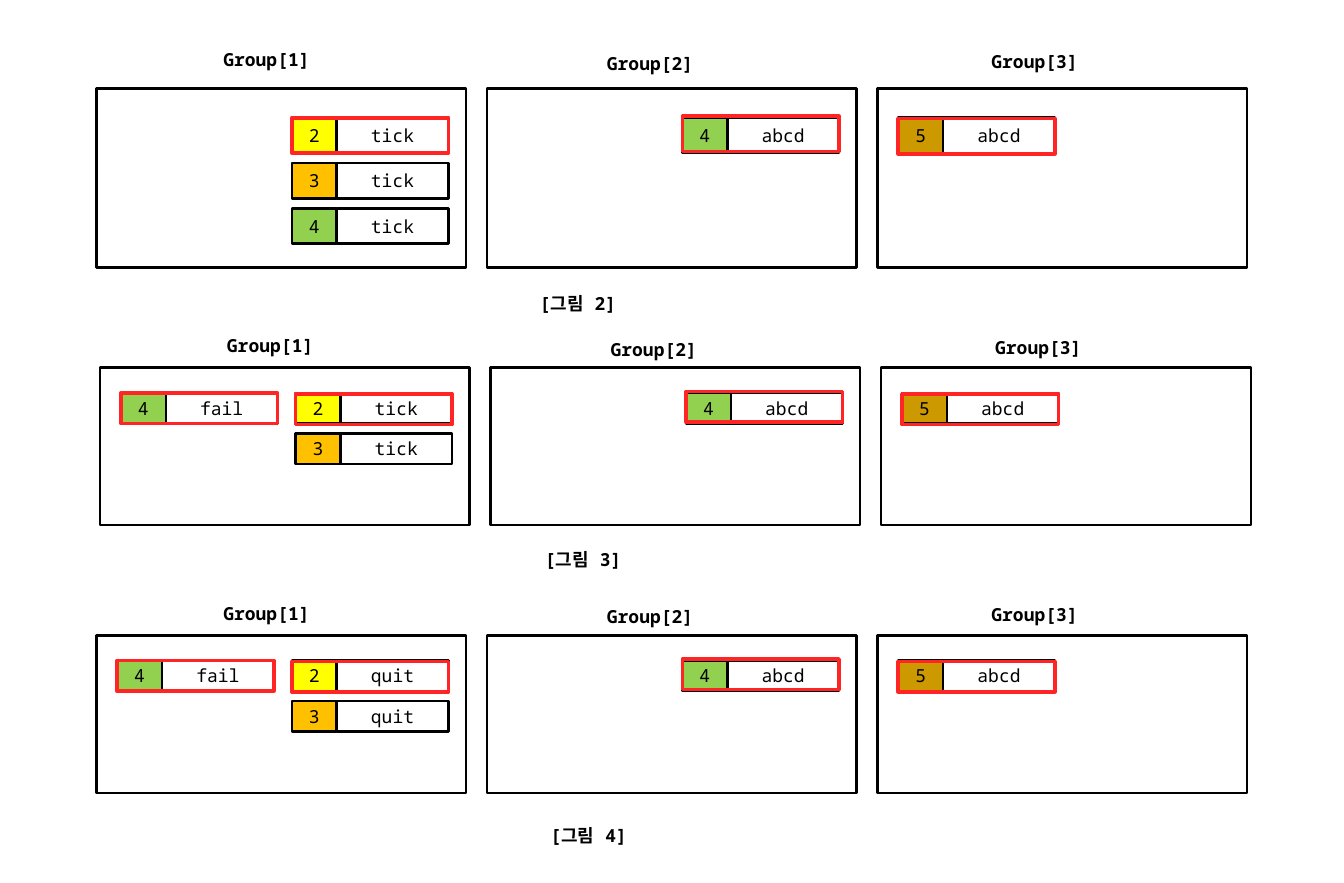
from dataclasses import dataclass

from lxml import etree
from pptx import Presentation
from pptx import util as u
from pptx.dml.color import RGBColor
from pptx.enum import shapes, text
from pptx.oxml import ns
from pptx.shapes.autoshape import Shape
from pptx.slide import Slide


@dataclass(frozen=True)
class Theme:
    font: str = "Noto Sans Mono"
    size: float = 11
    ink: str = "000000"
    paper: str = "FFFFFF"
    mark: str = "FF2525"
    thin: float = 1.5
    thick: float = 2.25
    spacing: float = 1.3


@dataclass(frozen=True)
class Entry:
    """A numbered word; marked entries get a red frame, moved by shift."""
    key: int
    word: str
    group: int
    left: float
    line: int = 0
    marked: bool = True
    shift: float = 0


@dataclass(frozen=True)
class Figure:
    """One row of three groups with its caption; lengths in cm."""
    caption: str
    caption_left: float
    caption_top: float
    left: float
    title_top: float
    panel_top: float
    panel_height: float
    entry_top: float
    entry_height: float
    entry_pitch: float
    entries: tuple[Entry, ...]


THEME = Theme()
KEY_FILLS = {2: "FFFF00", 3: "FFC000", 4: "92D050", 5: "CC9900"}

PANEL_WIDTH, PANEL_PITCH = 7.98, 8.43
KEY_WIDTH, WORD_WIDTH = 0.97, 2.41
TITLE_WIDTH, CAPTION_WIDTH, LABEL_HEIGHT = 2.85, 2.87, 0.81
TITLE_OFFSETS = ((2.49, 0), (2.34, 0.08), (2.21, 0.03))
NEAR, FAR = 0.45, 4.22  # entry columns inside a group

OTHER_GROUPS = (
    Entry(4, "abcd", 1, FAR, shift=-0.03),
    Entry(5, "abcd", 2, NEAR, shift=0.02),
)


def after_fail(word: str) -> tuple[Entry, ...]:
    return (
        Entry(4, "fail", 0, NEAR),
        Entry(2, word, 0, FAR, shift=0.02),
        Entry(3, word, 0, FAR, 1, marked=False),
        *OTHER_GROUPS,
    )


FIGURES = (
    Figure("[그림 2]", 11.4, 6.05, 2.08, 0.79, 1.91, 3.86, 2.54, 0.76, 0.98, (
        Entry(2, "tick", 0, FAR),
        Entry(3, "tick", 0, FAR, 1, marked=False),
        Entry(4, "tick", 0, FAR, 2, marked=False),
        *OTHER_GROUPS,
    )),
    Figure("[그림 3]", 11.51, 11.56, 2.16, 6.96, 7.93, 3.4, 8.48, 0.66, 0.87,
           after_fail("tick")),
    Figure("[그림 4]", 11.63, 17.53, 2.08, 12.73, 13.71, 3.4, 14.25, 0.66, 0.87,
           after_fail("quit")),
)


def write(box: Shape, words: str, bold: bool = False) -> None:
    para = box.text_frame.paragraphs[0]
    span = para.add_run()
    span.text = words
    formats = {"name": THEME.font, "size": u.Pt(THEME.size), "bold": bold}
    for name, value in formats.items():
        setattr(span.font, name, value)
    span.font.color.rgb = RGBColor.from_string(THEME.ink)
    # Hangul takes its typeface from the East Asian font
    east = etree.SubElement(span.font._element, ns.qn("a:ea"))
    east.set("typeface", THEME.font)


def add_label(page: Slide, words: str, left: float, top: float, width: float) -> None:
    box = page.shapes.add_textbox(*map(u.Cm, (left, top, width, LABEL_HEIGHT)))
    formats = {"word_wrap": True, "auto_size": text.MSO_AUTO_SIZE.SHAPE_TO_FIT_TEXT}
    for name, value in formats.items():
        setattr(box.text_frame, name, value)
    box.text_frame.paragraphs[0].line_spacing = THEME.spacing
    write(box, words, bold=True)


def add_box(page: Slide, left: float, top: float, width: float, height: float,
            fill: str = "", words: str = "",
            line: str = THEME.ink, weight: float = THEME.thin) -> None:
    box = page.shapes.add_shape(shapes.MSO_SHAPE.RECTANGLE,
                                *map(u.Cm, (left, top, width, height)))
    box.shadow.inherit = False
    box.line.color.rgb = RGBColor.from_string(line)
    box.line.width = u.Pt(weight)
    if fill:
        box.fill.solid()
        box.fill.fore_color.rgb = RGBColor.from_string(fill)
    else:
        box.fill.background()
    if words:
        box.text_frame.vertical_anchor = text.MSO_ANCHOR.MIDDLE
        box.text_frame.paragraphs[0].alignment = text.PP_ALIGN.CENTER
        write(box, words)


def add_entry(page: Slide, figure: Figure, entry: Entry) -> None:
    left = figure.left + entry.group * PANEL_PITCH + entry.left
    top = figure.entry_top + entry.line * figure.entry_pitch
    height = figure.entry_height
    add_box(page, left, top, KEY_WIDTH, height, KEY_FILLS[entry.key], str(entry.key))
    add_box(page, left + KEY_WIDTH, top, WORD_WIDTH, height, THEME.paper, entry.word)
    if entry.marked:
        add_box(page, left, top + entry.shift, KEY_WIDTH + WORD_WIDTH, height,
                line=THEME.mark, weight=THEME.thick)


def add_figure(page: Slide, figure: Figure) -> None:
    # Group titles and panels
    for group, (title_left, title_drop) in enumerate(TITLE_OFFSETS):
        left = figure.left + group * PANEL_PITCH
        add_label(page, f"Group[{group + 1}]", left + title_left,
                  figure.title_top + title_drop, TITLE_WIDTH)
        add_box(page, left, figure.panel_top, PANEL_WIDTH, figure.panel_height)

    # Entries inside the panels
    for entry in figure.entries:
        add_entry(page, figure, entry)

    # Caption below the panels
    add_label(page, figure.caption, figure.caption_left, figure.caption_top,
              CAPTION_WIDTH)


def main() -> None:
    deck = Presentation()
    deck.slide_width, deck.slide_height = u.Cm(29.01), u.Cm(19.05)
    page = deck.slides.add_slide(deck.slide_layouts[6])
    for figure in FIGURES:
        add_figure(page, figure)
    deck.save("out.pptx")


if __name__ == "__main__":
    main()
